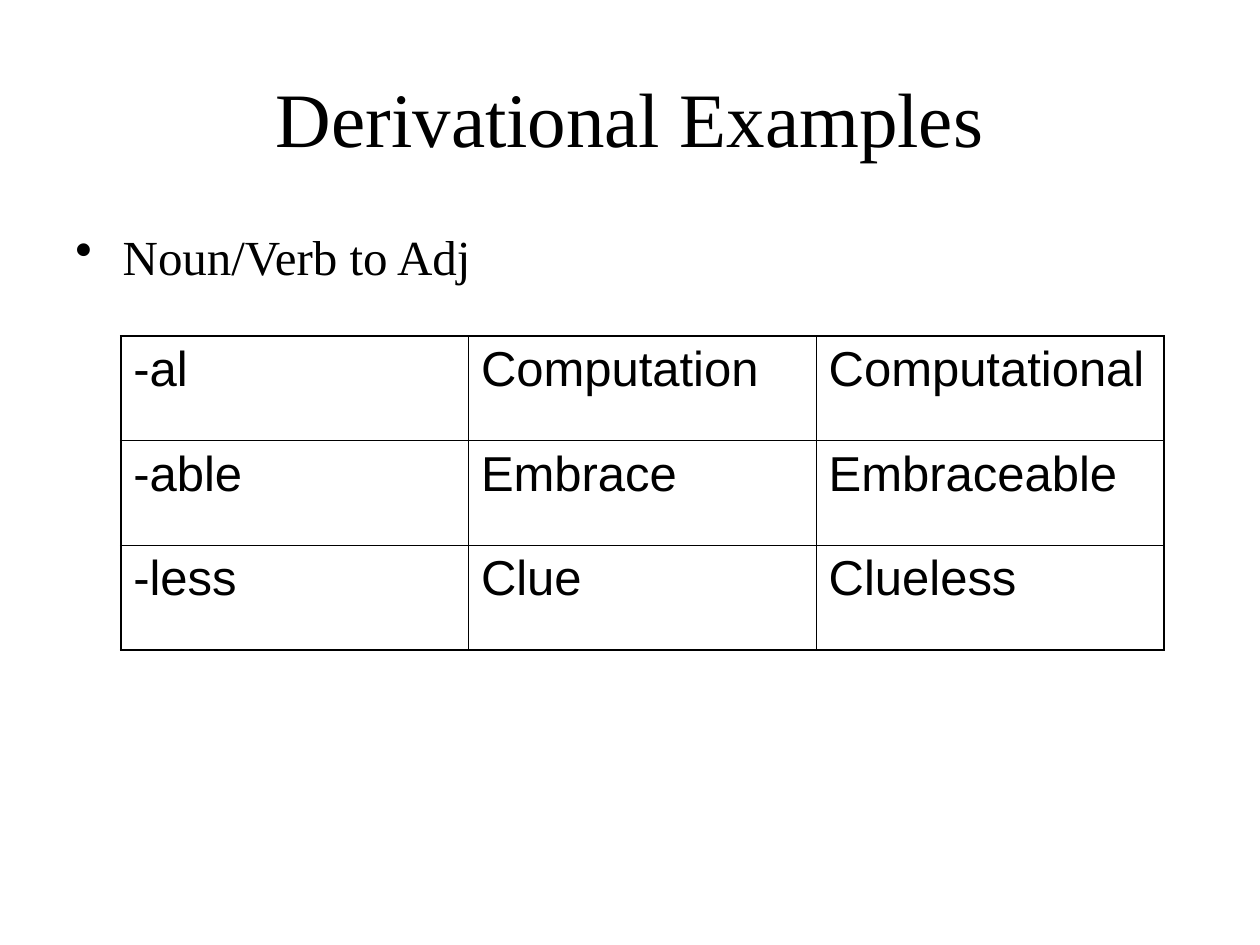
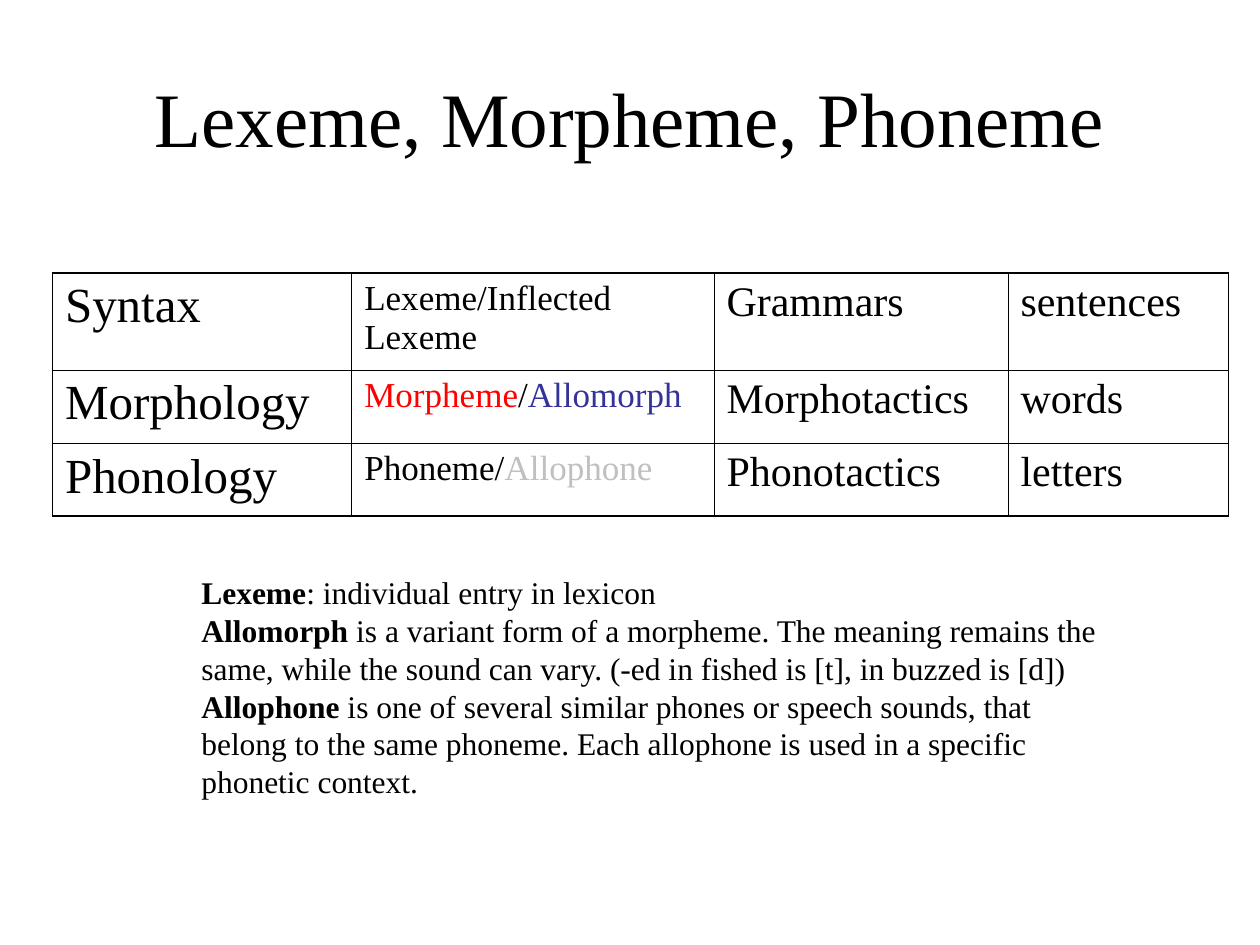
from dataclasses import dataclass

from lxml import etree
from pptx import Presentation
from pptx.dml.color import RGBColor
from pptx.enum.text import MSO_ANCHOR, MSO_AUTO_SIZE, PP_ALIGN
from pptx.oxml.ns import qn
from pptx.util import Pt

CENTER = PP_ALIGN.CENTER
MIDDLE = MSO_ANCHOR.MIDDLE
NO_AUTOFIT = MSO_AUTO_SIZE.NONE
GROW_SHAPE = MSO_AUTO_SIZE.SHAPE_TO_FIT_TEXT
TITLE_ONLY = 5

COLORS = {
    "ink": "000000",
    "morpheme": "FF0000",
    "allomorph": "333399",
    "allophone": "C0C0C0",
}
SERIF, SANS = "Times New Roman", "Arial"
OUTER_LINE, INNER_LINE = 1.08, 0.45
SPACE_RATIO = 0.25  # space before a paragraph, relative to its font size


@dataclass(frozen=True)
class Span:
    text: str
    color: str = "ink"
    bold: bool = False


@dataclass(frozen=True)
class Area:
    left: float
    top: float
    width: float
    height: float

    def lengths(self) -> tuple:
        return Pt(self.left), Pt(self.top), Pt(self.width), Pt(self.height)


@dataclass(frozen=True)
class Grid:
    left: float
    top: float
    columns: list
    row_heights: list
    font: str
    sizes: list
    rows: list


TITLE_AREA = Area(36, 21.6, 648, 90)
BULLET_AREA = Area(36, 126, 317.5, 356.4)
BULLET_INDENT = 27
DEFINITION_AREA = Area(108, 324, 535, 136.8)

DERIVATIONS = Grid(
    left=69, top=192, columns=[198.7] * 3, row_heights=[59.8] * 3,
    font=SANS, sizes=[28] * 3,
    rows=[
        ["-al", "Computation", "Computational"],
        ["-able", "Embrace", "Embraceable"],
        ["-less", "Clue", "Clueless"],
    ],
)
LEVELS = Grid(
    left=30, top=156, columns=[171, 207, 168, 126], row_heights=[55.4, 41.8, 41.8],
    font=SERIF, sizes=[28, 20, 24, 24],
    rows=[
        ["Syntax", "Lexeme/Inflected Lexeme", "Grammars", "sentences"],
        ["Morphology",
         [Span("Morpheme", "morpheme"), Span("/"), Span("Allomorph", "allomorph")],
         "Morphotactics", "words"],
        ["Phonology", [Span("Phoneme/"), Span("Allophone", "allophone")],
         "Phonotactics", "letters"],
    ],
)
DEFINITIONS = [
    ("Lexeme", ": individual entry in lexicon"),
    ("Allomorph", " is a variant form of a morpheme. The meaning remains the same, "
                  "while the sound can vary. (-ed in fished is [t], in buzzed is [d])"),
    ("Allophone", " is one of several similar phones or speech sounds, that belong to "
                  "the same phoneme. Each allophone is used in a specific phonetic context."),
]


def write_paragraph(paragraph, content, font: str, size: float) -> None:
    """Fill a paragraph from plain text or a list of spans."""
    paragraph.font.name = font
    paragraph.font.size = Pt(size)
    spans = [Span(content)] if isinstance(content, str) else content
    for span in spans:
        run = paragraph.add_run()
        run.text = span.text
        run.font.bold = span.bold
        run.font.color.rgb = RGBColor.from_string(COLORS[span.color])


def add_page(deck, title: str):
    page = deck.slides.add_slide(deck.slide_layouts[TITLE_ONLY])
    box = page.shapes.title
    box.left, box.top, box.width, box.height = TITLE_AREA.lengths()
    frame = box.text_frame
    frame.auto_size = NO_AUTOFIT
    frame.vertical_anchor = MIDDLE
    frame.paragraphs[0].alignment = CENTER
    write_paragraph(frame.paragraphs[0], title, SERIF, 44)
    return page


def add_text_frame(page, area: Area):
    frame = page.shapes.add_textbox(*area.lengths()).text_frame
    frame.word_wrap = True
    return frame


def add_bullet(page, text: str) -> None:
    size = 28
    paragraph = add_text_frame(page, BULLET_AREA).paragraphs[0]
    paragraph.space_before = Pt(size * SPACE_RATIO)
    write_paragraph(paragraph, text, SERIF, size)
    properties = paragraph._p.get_or_add_pPr()
    properties.set("marL", str(Pt(BULLET_INDENT)))
    properties.set("indent", str(-Pt(BULLET_INDENT)))
    bullet = etree.Element(qn("a:buChar"), char="•")
    properties.find(qn("a:spcBef")).addnext(bullet)


def set_borders(cell, widths: dict) -> None:
    """Draw cell borders; widths maps L, R, T, B to points, in that order."""
    properties = cell._tc.get_or_add_tcPr()
    for index, (side, width) in enumerate(widths.items()):
        line = etree.Element(qn(f"a:ln{side}"), w=str(Pt(width)))
        fill = etree.SubElement(line, qn("a:solidFill"))
        etree.SubElement(fill, qn("a:srgbClr"), val=COLORS["ink"])
        properties.insert(index, line)


def add_grid(page, grid: Grid) -> None:
    area = Area(grid.left, grid.top, sum(grid.columns), sum(grid.row_heights))
    last_row, last_column = len(grid.rows) - 1, len(grid.columns) - 1
    table = page.shapes.add_table(last_row + 1, last_column + 1, *area.lengths()).table
    table.first_row = table.horz_banding = False
    for column, width in zip(table.columns, grid.columns):
        column.width = Pt(width)
    for row, height in zip(table.rows, grid.row_heights):
        row.height = Pt(height)

    def line_width(is_edge: bool) -> float:
        return OUTER_LINE if is_edge else INNER_LINE

    for r, contents in enumerate(grid.rows):
        for c, (content, size) in enumerate(zip(contents, grid.sizes)):
            cell = table.cell(r, c)
            cell.fill.background()
            set_borders(cell, {
                "L": line_width(c == 0), "R": line_width(c == last_column),
                "T": line_width(r == 0), "B": line_width(r == last_row),
            })
            paragraph = cell.text_frame.paragraphs[0]
            paragraph.space_before = Pt(size * SPACE_RATIO)
            write_paragraph(paragraph, content, grid.font, size)


def add_definitions(page) -> None:
    frame = add_text_frame(page, DEFINITION_AREA)
    frame.auto_size = GROW_SHAPE
    for index, (term, meaning) in enumerate(DEFINITIONS):
        paragraph = frame.add_paragraph() if index else frame.paragraphs[0]
        write_paragraph(paragraph, [Span(term, bold=True), Span(meaning)], SERIF, 18)


def main() -> None:
    deck = Presentation()
    deck.slide_width, deck.slide_height = Pt(720), Pt(540)

    page = add_page(deck, "Derivational Examples")
    add_bullet(page, "Noun/Verb to Adj")
    add_grid(page, DERIVATIONS)

    page = add_page(deck, "Lexeme, Morpheme, Phoneme")
    add_grid(page, LEVELS)
    add_definitions(page)

    deck.save("out.pptx")


if __name__ == "__main__":
    main()
